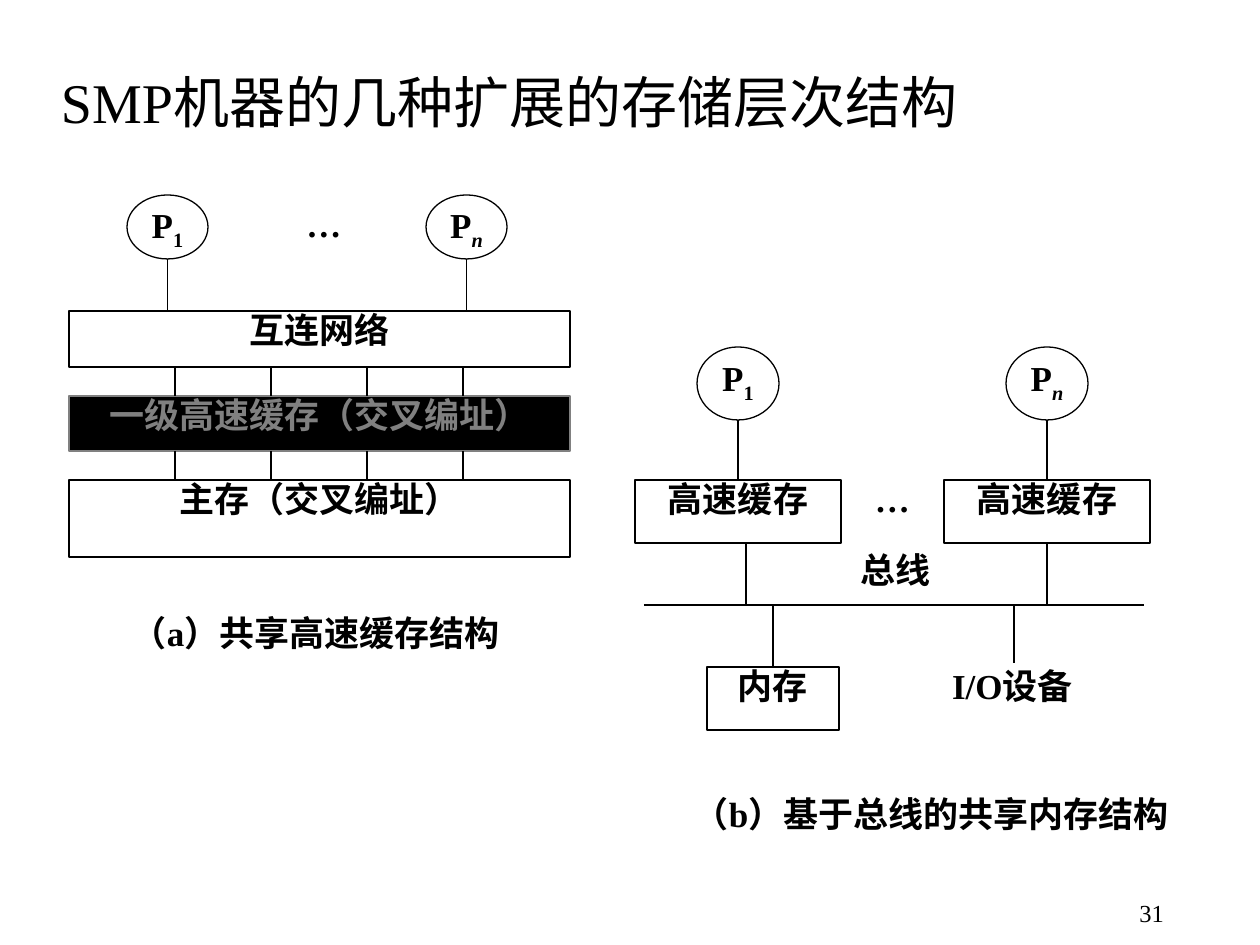
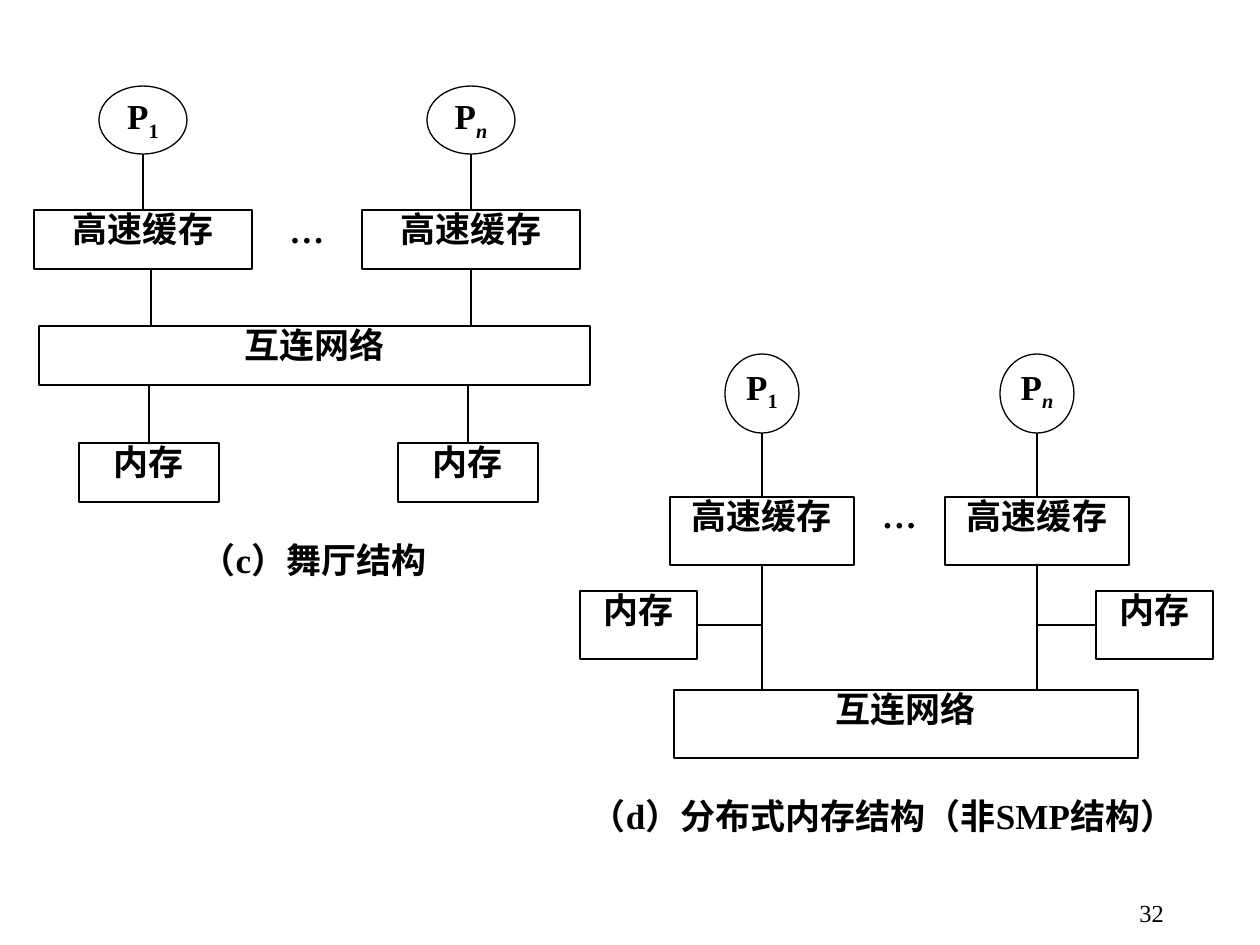
from lxml import etree
from pptx import Presentation
from pptx.dml.color import RGBColor
from pptx.enum.shapes import MSO_CONNECTOR, MSO_SHAPE
from pptx.enum.text import MSO_ANCHOR, PP_ALIGN
from pptx.oxml.ns import qn
from pptx.util import Emu, Pt

PX = 914400 / 126
FONT = "Times New Roman"
COLORS = {"ink": "000000", "muted": "808080"}
RECT, OVAL, STRAIGHT = MSO_SHAPE.RECTANGLE, MSO_SHAPE.OVAL, MSO_CONNECTOR.STRAIGHT
LEFT, CENTER, RIGHT = PP_ALIGN.LEFT, PP_ALIGN.CENTER, PP_ALIGN.RIGHT
TOP, MIDDLE = MSO_ANCHOR.TOP, MSO_ANCHOR.MIDDLE
BOX_SPACING, CAPTION_SPACING = 0.96, 1.12

# Boxes and labels: text, x, y, w, h. Wires: x1, y1, x2, y2.
# Processors: x of each circle, then y, w, h and the y where their wires end.
SHARED_CACHE = {
    "processors": ((127, 426), 195, 81, 64, 311),
    "boxes": [("互连网络", 69, 311, 501, 56),
              ("主存（交叉编址）", 69, 480, 501, 77)],
    "dark_boxes": [("一级高速缓存（交叉编址）", 69, 396, 501, 55)],
    "labels": [],
    "dots": (290, 203, 68, 53),
    "wires": [(175 + 96 * i, y1, 175 + 96 * i, y2)
              for y1, y2 in ((367, 396), (451, 480)) for i in range(4)],
    "caption": ("（a）共享高速缓存结构", 64, 606, 504, 55),
}
SHARED_BUS = {
    "processors": ((697, 1006), 347, 82, 73, 480),
    "boxes": [("高速缓存", 635, 480, 206, 63), ("高速缓存", 944, 480, 206, 63),
              ("内存", 707, 667, 132, 63)],
    "labels": [("I/O设备", 925, 667, 175, 63), ("总线", 808, 551, 175, 52)],
    "dots": (857, 478, 71, 60),
    "wires": [(644, 605, 1144, 605), (746, 543, 746, 605), (1047, 543, 1047, 605),
              (773, 605, 773, 667), (1014, 605, 1014, 663)],
    "caption": ("（b）基于总线的共享内存结构", 638, 788, 587, 62),
}
DANCE_HALL = {
    "processors": ((99, 427), 86, 88, 68, 210),
    "boxes": [("高速缓存", 34, 210, 218, 59), ("高速缓存", 362, 210, 218, 59),
              ("互连网络", 39, 326, 551, 59),
              ("内存", 79, 443, 140, 59), ("内存", 398, 443, 140, 59)],
    "labels": [],
    "dots": (270, 208, 74, 57),
    "wires": [(151, 269, 151, 326), (471, 269, 471, 326),
              (149, 385, 149, 443), (468, 385, 468, 443)],
    "caption": ("（c）舞厅结构", 37, 533, 553, 59),
}
DISTRIBUTED = {
    "processors": ((725, 1000), 354, 74, 79, 497),
    "boxes": [("高速缓存", 670, 497, 184, 68), ("高速缓存", 945, 497, 184, 68),
              ("内存", 580, 591, 117, 68), ("内存", 1096, 591, 117, 68),
              ("互连网络", 674, 690, 464, 68)],
    "labels": [],
    "dots": (868, 494, 63, 64),
    "wires": [(762, 565, 762, 690), (1037, 565, 1037, 690),
              (697, 625, 762, 625), (1037, 625, 1096, 625)],
    "caption": ("（d）分布式内存结构（非SMP结构）", 551, 789, 664, 72),
}
SLIDES = [
    {"title": "SMP机器的几种扩展的存储层次结构", "page": "31",
     "diagrams": [SHARED_CACHE, SHARED_BUS]},
    {"title": None, "page": "32", "diagrams": [DANCE_HALL, DISTRIBUTED]},
]


def px(*lengths):
    return [Emu(round(n * PX)) for n in lengths]


def rgb(name):
    return RGBColor.from_string(COLORS[name])


def write(sp, text, size=20, bold=True, color="ink", align=CENTER, spacing=None,
          anchor=TOP, margins=(0, 0, 0, 0)):
    """Fill a shape with one paragraph; what follows "_" is a subscript."""
    tf = sp.text_frame
    tf.word_wrap = True
    tf.vertical_anchor = anchor
    tf.margin_left, tf.margin_top, tf.margin_right, tf.margin_bottom = px(*margins)
    p = tf.paragraphs[0]
    p.alignment = align
    if spacing:
        p.line_spacing = spacing
    for i, part in enumerate(text.split("_")):
        r = p.add_run()
        r.text = part
        r.font.name, r.font.size, r.font.bold = FONT, Pt(size), bold
        r.font.color.rgb = rgb(color)
        if i:
            r.font.italic = part.isalpha()
            r._r.get_or_add_rPr().set("baseline", "-25000")


def add_label(s, text, x, y, w, h, **style):
    write(s.shapes.add_textbox(*px(x, y, w, h)), text, **style)


def add_outline(s, kind, x, y, w, h, fill=None, line="ink"):
    sp = s.shapes.add_shape(kind, *px(x, y, w, h))
    sp.shadow.inherit = False
    if fill:
        sp.fill.solid()
        sp.fill.fore_color.rgb = rgb(fill)
    else:
        sp.fill.background()
    sp.line.color.rgb = rgb(line)
    sp.line.width = Pt(0.75)
    return sp


def add_box(s, sides, text, x, y, w, h, fill=None, color="ink"):
    """Draw a box and record the middle of each side for joining wires."""
    sp = add_outline(s, RECT, x, y, w, h, fill, color)
    write(sp, text, color=color, spacing=BOX_SPACING)
    middles = ((x + w / 2, y), (x, y + h / 2), (x + w / 2, y + h), (x + w, y + h / 2))
    for site, middle in enumerate(middles):
        sides[middle] = (sp, site)


def add_wire(s, sides, x1, y1, x2, y2):
    c = s.shapes.add_connector(STRAIGHT, *px(x1, y1, x2, y2))
    c.line.color.rgb = rgb("ink")
    c.line.width = Pt(0.75)
    etree.SubElement(c._element.spPr, qn("a:effectLst"))
    if (x1, y1) in sides:
        c.begin_connect(*sides[x1, y1])
    if (x2, y2) in sides:
        c.end_connect(*sides[x2, y2])


def add_processor(s, sides, text, x, y, w, h, wire_end):
    add_outline(s, OVAL, x, y, w, h)
    drop = h // 7
    add_label(s, text, x + 13, y + drop, w - 26, h - 2 * drop, spacing=BOX_SPACING)
    add_wire(s, sides, x + w / 2, y + h, x + w / 2, wire_end)


def add_diagram(s, diagram):
    sides = {}
    for box in diagram["boxes"]:
        add_box(s, sides, *box)
    for box in diagram.get("dark_boxes", []):
        add_box(s, sides, *box, fill="ink", color="muted")
    columns, *circle = diagram["processors"]
    for text, x in zip(("P_1", "P_n"), columns):
        add_processor(s, sides, text, x, *circle)
    for wire in diagram["wires"]:
        add_wire(s, sides, *wire)
    for label in diagram["labels"]:
        add_label(s, *label, spacing=BOX_SPACING)
    add_label(s, "…", *diagram["dots"])
    add_label(s, *diagram["caption"], spacing=CAPTION_SPACING)


def main():
    prs = Presentation()
    prs.slide_width, prs.slide_height = px(1260, 945)
    for content in SLIDES:
        s = prs.slides.add_slide(prs.slide_layouts[6])
        if content["title"]:
            add_label(s, content["title"], 34, 58, 1134, 87, size=32, bold=False,
                      align=LEFT, anchor=MIDDLE, margins=(27, 6, 13, 6))
        for diagram in content["diagrams"]:
            add_diagram(s, diagram)
        add_label(s, content["page"], 935, 892, 242, 53, size=14, bold=False,
                  align=RIGHT, margins=(13, 6, 13, 6))
    prs.save("out.pptx")


if __name__ == "__main__":
    main()
